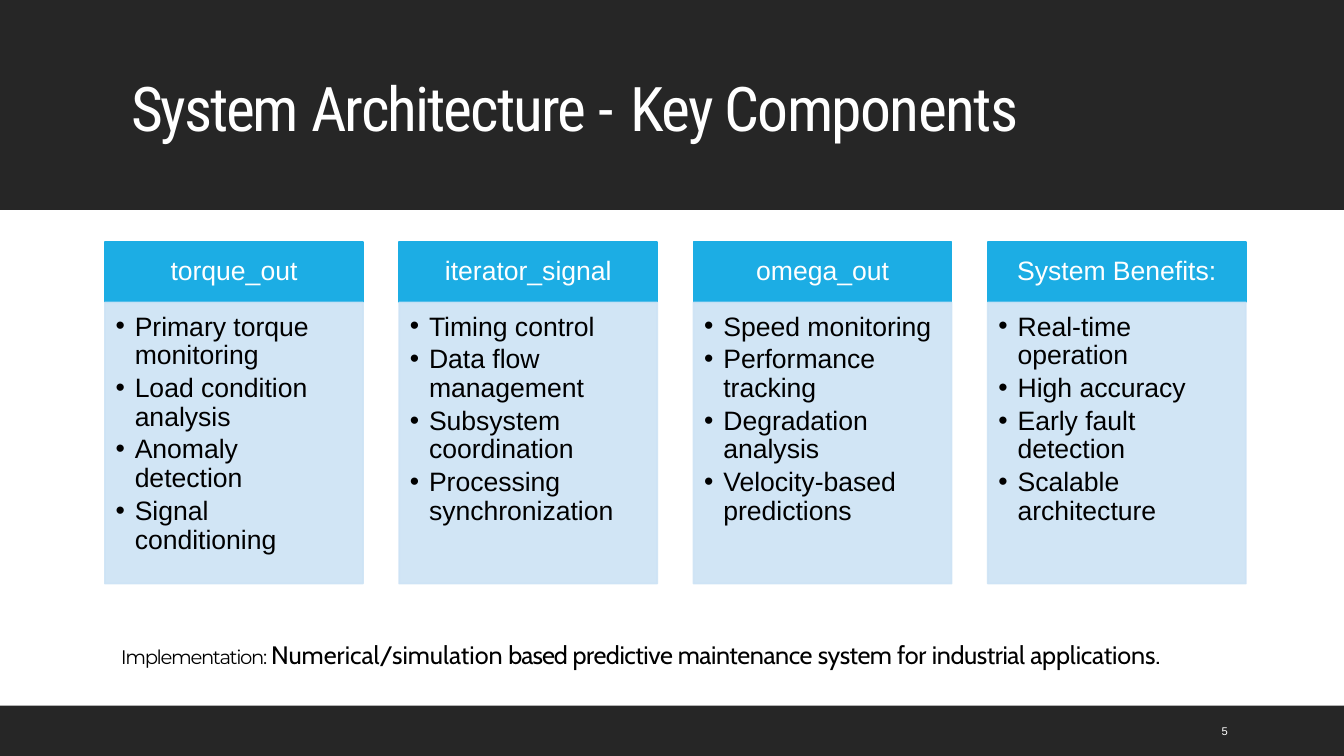
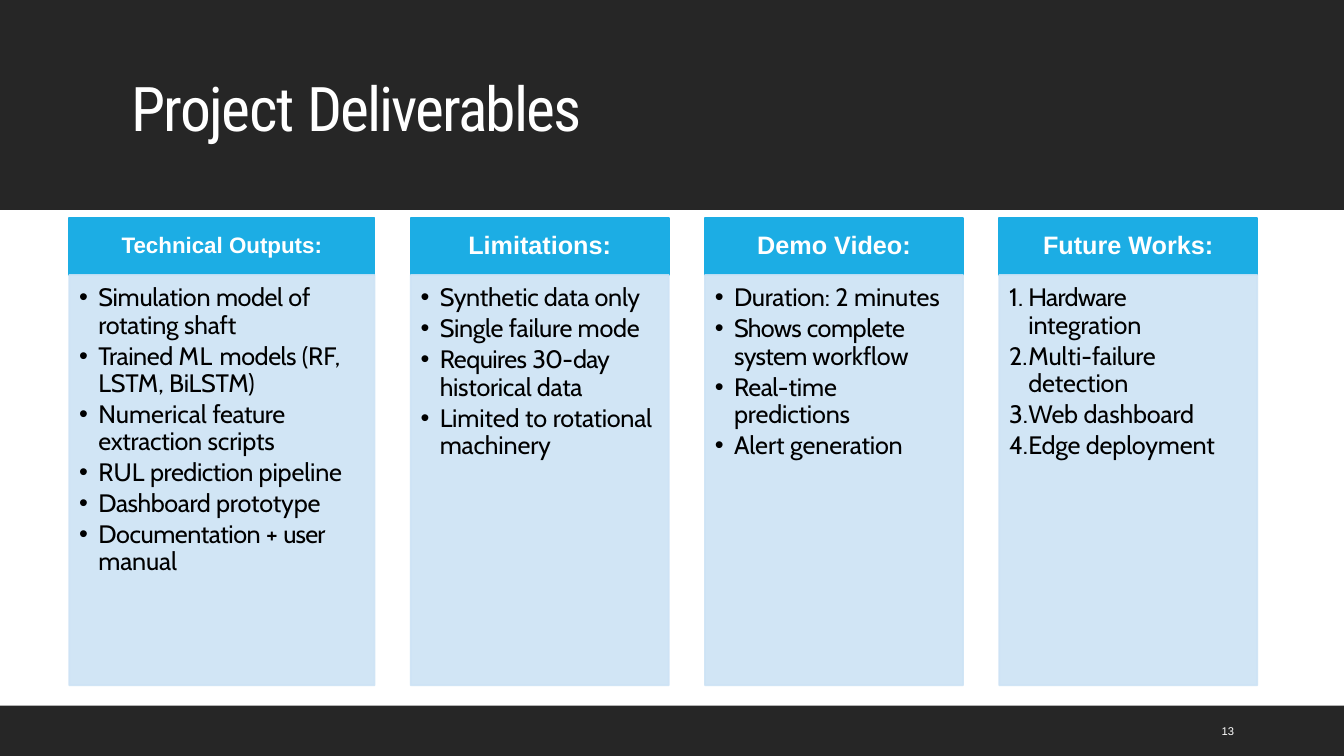
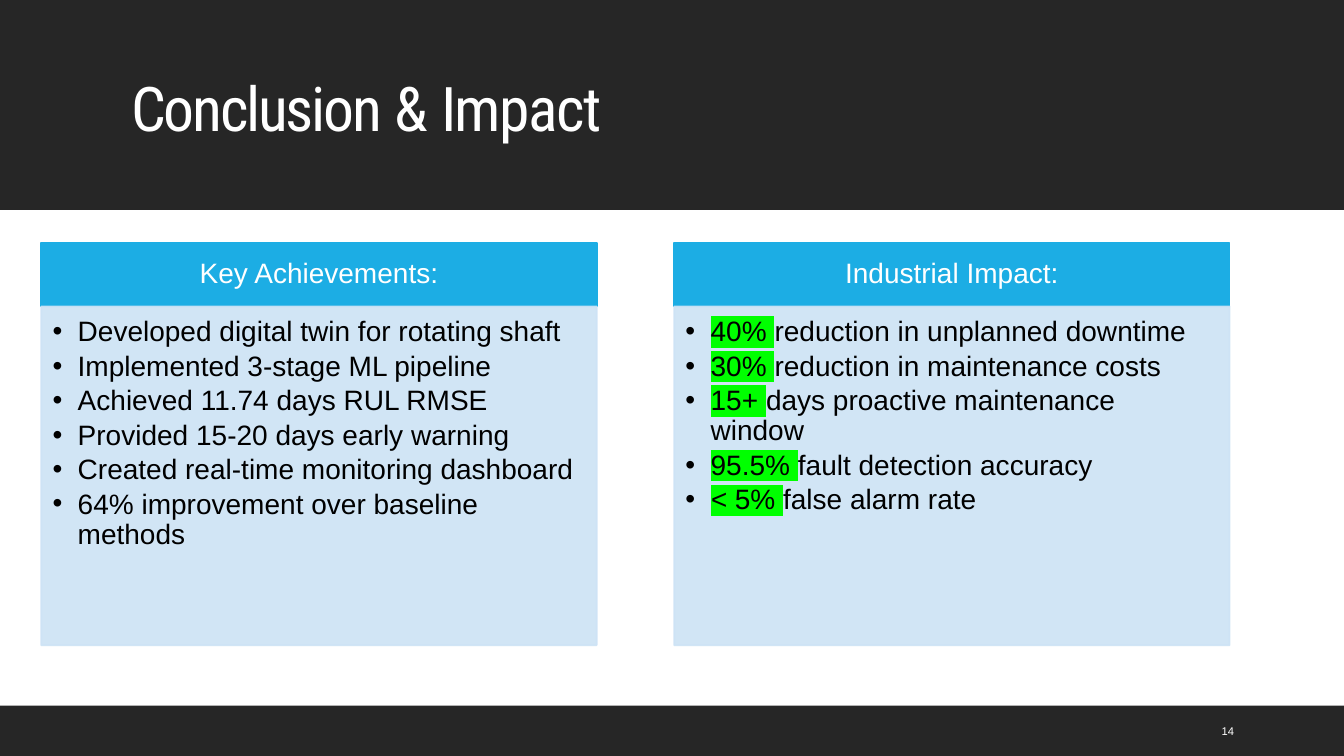
"""Build three slides on a predictive maintenance system: components, deliverables, conclusion."""
from lxml.etree import SubElement
from pptx import Presentation
from pptx.dml.color import RGBColor
from pptx.enum.shapes import MSO_SHAPE as Preset
from pptx.enum.text import MSO_ANCHOR as Anchor, MSO_AUTO_SIZE as AutoSize, PP_ALIGN as Align
from pptx.oxml.ns import qn
from pptx.util import Pt

DARK, WHITE, BLACK = "262626", "FFFFFF", "000000"
HEADING_BLUE, CARD_BLUE, MARKER = "1CADE4", "CDE3F5", "00FF00"
hex_colour = RGBColor.from_string


def add_runs(paragraph, runs, font, size, colour, bold=False):
    """Add (text, letter spacing, styles...) runs to a paragraph."""
    for text, spacing, *styles in runs:
        run = paragraph.add_run()
        run.text = text
        run.font.size = Pt(size)
        run.font.bold = bold
        run.font.italic = "italic" in styles
        run.font.color.rgb = hex_colour(colour)
        properties = run._r.get_or_add_rPr()
        properties.set("spc", str(round(spacing * 100)))
        if "marked" in styles:
            highlight = SubElement(properties, qn("a:highlight"))
            SubElement(highlight, qn("a:srgbClr"), val=MARKER)
        run.font.name = font


def add_box(slide, left, top, width, height, colour, opacity=100):
    """Add a plain rectangle with fill and line of one colour."""
    box = slide.shapes.add_shape(Preset.RECTANGLE, Pt(left), Pt(top), Pt(width), Pt(height))
    box.shadow.inherit = False
    box.fill.solid()
    box.fill.fore_color.rgb = hex_colour(colour)
    box.line.color.rgb = hex_colour(colour)
    box.line.width = Pt(1.25)
    if opacity < 100:
        for tint in box.element.spPr.iter(qn("a:srgbClr")):
            SubElement(tint, qn("a:alpha"), val=str(opacity * 1000))
    return box


components = [
    ("torque_out", 19, [
        [("Primary torque monitoring", 0)],
        [("Load condition analysis", 0)],
        [("Anomaly detection", 0)],
        [("Signal conditioning", 0)]]),
    ("iterator_signal", 19, [
        [("Timing control", 0)],
        [("Data flow management", 0)],
        [("Subsystem coordination", 0)],
        [("Processing synchronization", 0)]]),
    ("omega_out", 19, [
        [("Speed monitoring", 0)],
        [("Performance tracking", 0)],
        [("Degradation analysis", 0)],
        [("Velocity-based predictions", 0)]]),
    ("System Benefits:", 19, [
        [("Real-time operation", 0)],
        [("High accuracy", 0)],
        [("Early fault detection", 0)],
        [("Scalable architecture", 0)]]),
]
deliverables = [
    ("Technical Outputs:", 16, [
        [("Simulation ", -0.2), ("model ", -0.3), ("of", 0), (" rotating ", -0.2), ("shaft", -0.1)],
        [("Trained ", -0.3), ("ML ", 0.6), ("models ", -0.3), ("(RF, ", 0), ("LSTM, BiLSTM)", -0.1)],
        [("Numerical ", 0), ("feature ", -0.3), ("extraction ", -0.2), ("scripts", -0.1)],
        [("RUL ", 0), ("prediction ", -0.3), ("pipeline", -0.1)],
        [("Dashboard ", -0.3), ("prototype", -0.1)],
        [("Documentation ", -0.3), ("+ ", 0), ("user ", -0.6), ("manual", -0.1)]]),
    ("Limitations:", 18, [
        [("Synthetic data only", -0.2)],
        [("Single failure mode", -0.2)],
        [("Requires ", -0.4), ("30-", -0.6), ("day ", -0.5), ("historical data", -0.2)],
        [("Limited ", -0.1), ("to ", 0), ("rotational ", -0.2), ("machinery", -0.1)]]),
    ("Demo Video:", 18, [
        [("Duration: ", -0.2), ("2 ", 0), ("minutes", -0.1)],
        [("Shows ", -0.5), ("complete ", -0.3), ("system ", -0.5), ("workflow", -0.1)],
        [("Real-", -0.3), ("time predictions", -0.1)],
        [("Alert", 0), (" generation", -0.1)]]),
    ("Future Works:", 18, [
        [("Hardware ", -0.5), ("integration", -0.1)],
        [("Multi-", 0), ("failure ", -0.2), ("detection", -0.1)],
        [("Web ", -0.2), ("dashboard", -0.1)],
        [("Edge ", -0.2), ("deployment", -0.1)]]),
]
conclusions = [
    ("Key Achievements:", 20, [
        [("Developed digital twin for rotating shaft", 0)],
        [("Implemented 3-stage ML pipeline", 0)],
        [("Achieved 11.74 days RUL RMSE", 0)],
        [("Provided 15-20 days early warning", 0)],
        [("Created real-time monitoring dashboard", 0)],
        [("64% improvement over baseline methods", 0)]]),
    ("Industrial Impact:", 20, [
        [("40% ", 0, "marked"), ("reduction in unplanned downtime", 0)],
        [("30% ", 0, "marked"), ("reduction in maintenance costs", 0)],
        [("15+ ", 0, "marked"), ("days proactive maintenance window", 0)],
        [("95.5% ", 0, "marked"), ("fault detection accuracy", 0)],
        [("< ", 0, "marked", "italic"), ("5% ", 0, "marked"), ("false alarm rate", 0)]]),
]
pages = [
    dict(number="5", cards=components, left=75, top=172.8, widths=[184.3] * 4, gap=25.9,
         heading_height=43.2, list_height=200.9, font="Arial", size=19, indent=13.7, bold=False,
         title=[("System ", -1.6), ("Architecture ", -1.4), ("- ", 0.6), ("Key Components", -1.2)]),
    dict(number="13", cards=deliverables, left=49.5, top=155.5, widths=[218] + [184.3] * 3, gap=25.9,
         heading_height=41, list_height=293, font="Cabin", size=18, indent=13.7, bold=True,
         title=[("Project ", -1.1), ("Deliverables", -1.4)]),
    dict(number="14", cards=conclusions, left=29.5, top=173.5, widths=[396.7] * 2, gap=55.4,
         heading_height=45.4, list_height=242, font="Arial", size=20, indent=18, bold=False,
         title=[("Conclusion ", -1.6), ("& ", -0.5), ("Impact", -1.2)]),
]
implementation = [
    ("Numerical/simulation ", 0), ("based ", -0.7), ("predictive maintenance ", -0.3), ("system ", -0.4),
    ("for ", -0.2), ("industrial ", -0.3), ("applications.", -0.1)]

deck = Presentation()
deck.slide_width, deck.slide_height = Pt(960), Pt(540)
title_only = deck.slide_layouts[5]

for page in pages:
    slide = deck.slides.add_slide(title_only)
    for band_top, band_height in ((0, 150), (504, 36)):
        band = add_box(slide, 0, band_top, 960, band_height, DARK)
        band.line.fill.background()
        slide.shapes.element.insert(2, band.element)

    title = slide.shapes.title
    title.left, title.top, title.width, title.height = Pt(86.4), Pt(22.3), Pt(792), Pt(114.5)
    title.text_frame.auto_size = AutoSize.NONE
    title.text_frame.vertical_anchor = Anchor.MIDDLE
    heading_line = title.text_frame.paragraphs[0]
    heading_line.alignment = Align.LEFT
    heading_line.line_spacing = 0.9
    add_runs(heading_line, page["title"], "Roboto Condensed", 44, WHITE)

    left, size = page["left"], page["size"]
    for (heading, heading_size, items), width in zip(page["cards"], page["widths"]):
        header = add_box(slide, left, page["top"], width, page["heading_height"], HEADING_BLUE)
        header.text_frame.vertical_anchor = Anchor.MIDDLE
        header_line = header.text_frame.paragraphs[0]
        header_line.alignment = Align.CENTER
        header_line.line_spacing = 0.9
        add_runs(header_line, [(heading, 0)], "Arial", heading_size, WHITE, page["bold"])

        card = add_box(slide, left, page["top"] + page["heading_height"], width, page["list_height"],
                       CARD_BLUE, opacity=90)
        points = card.text_frame
        points.word_wrap = True
        points.vertical_anchor = Anchor.TOP
        points.margin_left = points.margin_top = Pt(size * 0.4)
        points.margin_right = Pt(size * 0.56)
        for index, runs in enumerate(items):
            point = points.add_paragraph() if index else points.paragraphs[0]
            point.alignment = Align.LEFT
            point.line_spacing = 0.9
            point.space_after = Pt(size * 0.15)
            bullet = point._p.get_or_add_pPr()
            bullet.set("marL", str(Pt(page["indent"])))
            bullet.set("indent", str(-Pt(page["indent"])))
            SubElement(SubElement(bullet, qn("a:buClr")), qn("a:srgbClr"), val=BLACK)
            if heading == "Future Works:":
                SubElement(bullet, qn("a:buAutoNum"), type="arabicPeriod")
            else:
                SubElement(bullet, qn("a:buFont"), typeface="Arial")
                SubElement(bullet, qn("a:buChar"), char="•")
            add_runs(point, runs, page["font"], size, BLACK)
        left += width + page["gap"]

    page_number = slide.shapes.add_textbox(Pt(865.5), Pt(507.6), Pt(61), Pt(28.8)).text_frame
    page_number.word_wrap = True
    page_number.vertical_anchor = Anchor.MIDDLE
    page_number.paragraphs[0].space_after = Pt(6)
    add_runs(page_number.paragraphs[0], [(page["number"], 0)], "Arial", 8, WHITE)

summary = deck.slides[0].shapes.add_textbox(Pt(79.2), Pt(453), Pt(772), Pt(51)).text_frame
summary.word_wrap = False
add_runs(summary.paragraphs[0], [("Implementation: ", -1)], "Montserrat", 14, BLACK)
add_runs(summary.paragraphs[0], implementation, "Cabin", 18, BLACK)

deck.save("out.pptx")
